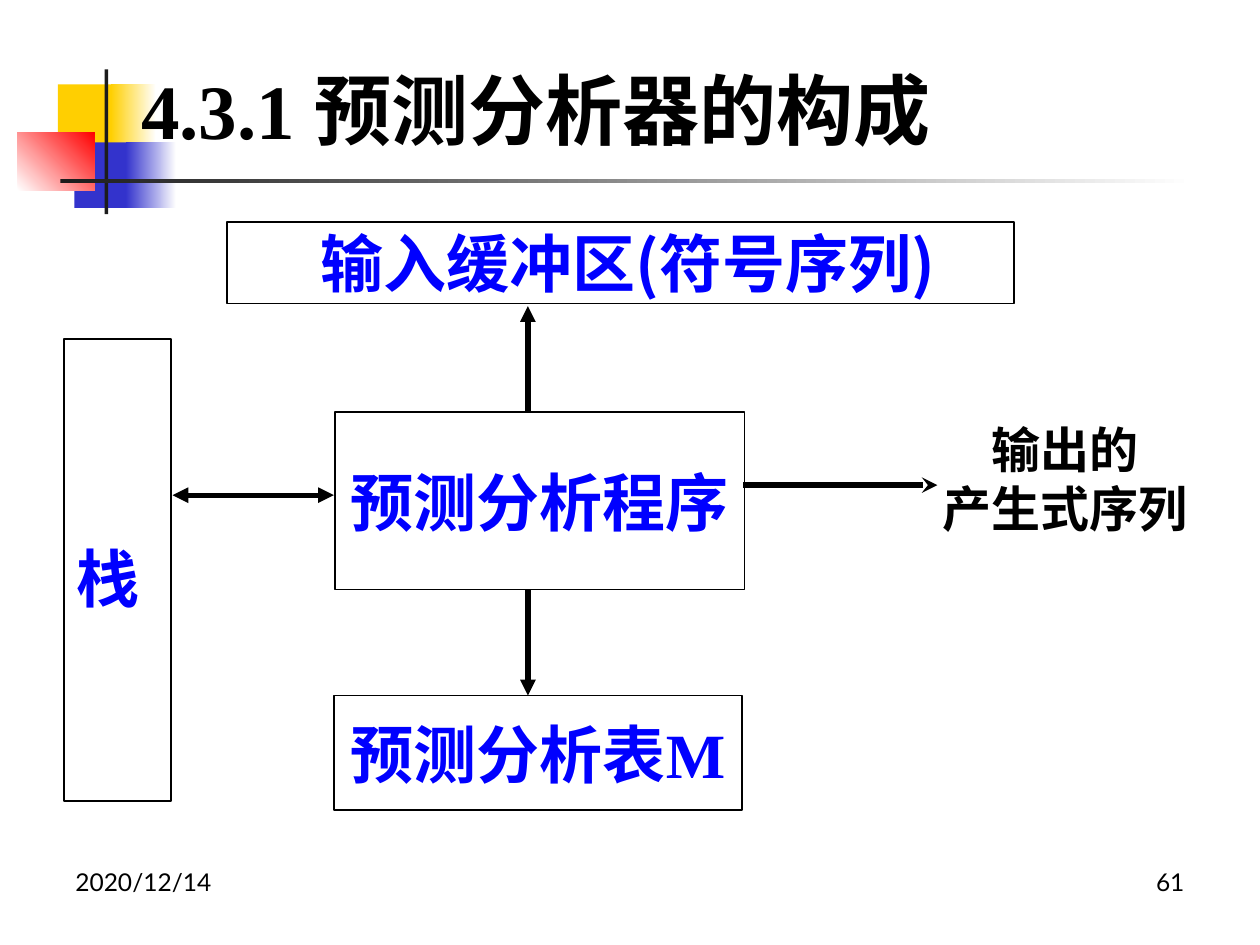
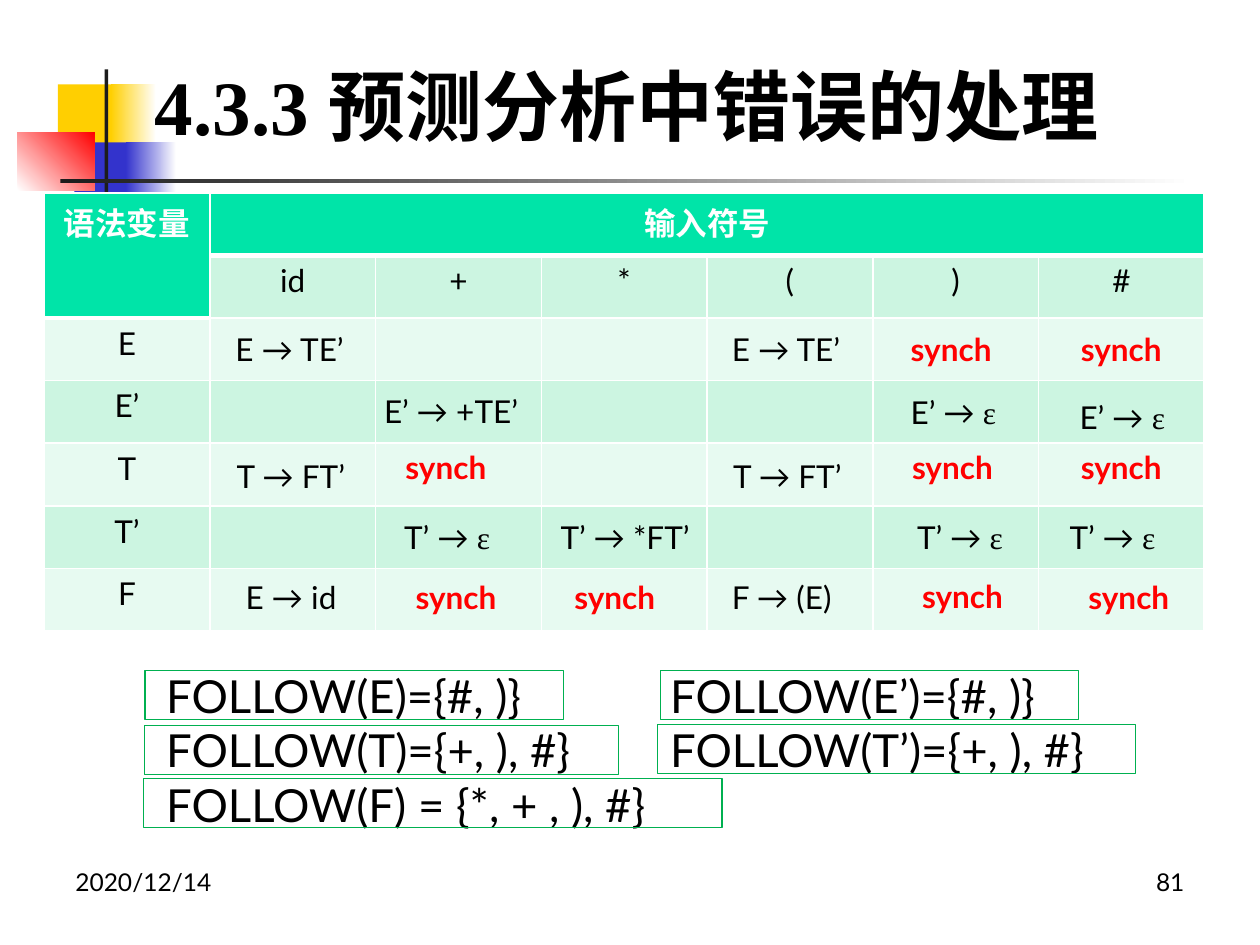
from lxml.etree import SubElement
from pptx import Presentation
from pptx.dml.color import RGBColor
from pptx.enum.shapes import MSO_CONNECTOR, MSO_SHAPE
from pptx.enum.text import MSO_ANCHOR, MSO_AUTO_SIZE, PP_ALIGN
from pptx.oxml.ns import qn
from pptx.util import Pt

PX = 9144  # EMU in one px, 100 px to the inch
COLORS = {
    "black": "000000", "white": "FFFFFF", "ink": "1C1C1C",
    "yellow": "FFCF01", "indigo": "3333CC", "red": "FF0000",
    "blue": "0000FF", "green": "00B050",
    "header": "00E4A8", "band": "CCF5E1", "pale": "E7FAF1",
}
RGB = {name: RGBColor.from_string(value) for name, value in COLORS.items()}
LATIN, CJK, SERIF = "Lato", "Noto Sans CJK SC", "Times New Roman"


def write(tf, text, size=18, font=LATIN, color="black", bold=False,
          align=PP_ALIGN.LEFT, anchor=MSO_ANCHOR.TOP, wrap=True, grow=False,
          spacing=None, tail="", tail_font=SERIF):
    """Fill a text frame, one paragraph a line; tail ends the text in its own font."""
    tf.word_wrap = wrap
    tf.auto_size = MSO_AUTO_SIZE.SHAPE_TO_FIT_TEXT if grow else MSO_AUTO_SIZE.NONE
    tf.vertical_anchor = anchor
    lines = text.split("\n")
    for i, line in enumerate(lines):
        p = tf.paragraphs[0] if i == 0 else tf.add_paragraph()
        p.alignment = align
        if spacing:
            p.line_spacing = spacing
        runs = [(line, font)]
        if tail and i == len(lines) - 1:
            runs.append((tail, tail_font))
        for words, face in runs:
            r = p.add_run()
            r.text = words
            r.font.name, r.font.size, r.font.bold = face, Pt(size), bold
            r.font.color.rgb = RGB[color]
            SubElement(r.font._element, qn("a:ea"), typeface=CJK)


def add_box(s, at, fill=None, line=None, weight=1):
    """Add a rectangle; fill is one colour name or a (start, end, angle) gradient."""
    sp = s.shapes.add_shape(MSO_SHAPE.RECTANGLE, *[v * PX for v in at])
    sp.shadow.inherit = False
    if fill is None:
        sp.fill.background()
    elif isinstance(fill, str):
        sp.fill.solid()
        sp.fill.fore_color.rgb = RGB[fill]
    else:
        start, end, angle = fill
        sp.fill.gradient()
        sp.fill.gradient_angle = angle
        for stop, name in zip(sp.fill.gradient_stops, (start, end)):
            stop.color.rgb = RGB[name]
    if line:
        sp.line.color.rgb = RGB[line]
        sp.line.width = Pt(weight)
    else:
        sp.line.fill.background()
    return sp


prs = Presentation()
prs.slide_width, prs.slide_height = 1000 * PX, 750 * PX

# Shared frame: emblem, rule, date, number and title
emblem = [
    ((46, 67, 48, 52), "yellow"),
    ((88, 67, 36, 52), ("yellow", "white", 0)),
    ((59, 113, 46, 52), "indigo"),
    ((100, 113, 40, 52), ("indigo", "white", 0)),
    ((14, 105, 61, 46), ("white", "red", 45)),
    ((83, 55, 3, 115), "ink"),
    ((48, 142, 900, 3), ("ink", "white", 0)),
]
pages = [
    ("4.3.1 预测分析器的构成", (102, 33, 734, 106), "61"),
    ("4.3.3 预测分析中错误的处理", (113, 44, 797, 78), "81"),
]
for title, title_at, number in pages:
    s = prs.slides.add_slide(prs.slide_layouts[5])
    for at, fill in emblem:
        add_box(s, at, fill)
    for left, text, align in ((50, "2020/12/14", PP_ALIGN.LEFT),
                              (717, number, PP_ALIGN.RIGHT)):
        sp = s.shapes.add_textbox(left * PX, 683 * PX, 233 * PX, 52 * PX)
        write(sp.text_frame, text, size=14, align=align)
    sp = s.shapes.title
    sp.left, sp.top, sp.width, sp.height = [v * PX for v in title_at]
    write(sp.text_frame, title, size=44, font=SERIF, bold=True,
          anchor=MSO_ANCHOR.MIDDLE)
    s.shapes.element.append(sp.element)  # in front of the emblem

parser_slide, error_slide = prs.slides

# Slide 1: parts of the predictive parser
parts = [
    ((180, 176, 625, 65), " 输入缓冲区(符号序列)", {"font": CJK}),
    ((51, 269, 85, 367), "栈", {"align": PP_ALIGN.LEFT, "spacing": 1.2}),
    ((266, 327, 325, 141), "预测分析程序", {}),
    ((265, 552, 324, 91), "预测分析表", {"font": CJK, "tail": "M"}),
]
part_style = {"size": 36, "font": SERIF, "color": "blue", "bold": True, "wrap": False,
              "align": PP_ALIGN.CENTER, "anchor": MSO_ANCHOR.MIDDLE}
for at, text, extra in parts:
    sp = add_box(parser_slide, at, line="black")
    write(sp.text_frame, text, **{**part_style, **extra})

arrows = [
    ((419, 326, 419, 243), {"tailEnd": "triangle"}),
    ((265, 393, 137, 393), {"headEnd": "triangle", "tailEnd": "triangle"}),
    ((419, 552, 419, 468), {"headEnd": "triangle"}),
    ((590, 385, 744, 385), {"tailEnd": "stealth"}),
]
for ends, heads in arrows:
    line = parser_slide.shapes.add_connector(MSO_CONNECTOR.STRAIGHT,
                                             *[v * PX for v in ends])
    line.line.color.rgb = RGB["black"]
    line.line.width = Pt(3)
    spPr = line.element.spPr
    for tag, kind in heads.items():
        SubElement(spPr.find(qn("a:ln")), qn(f"a:{tag}"), type=kind)
    SubElement(spPr, qn("a:effectLst"))

sp = parser_slide.shapes.add_textbox(724 * PX, 328 * PX, 242 * PX, 104 * PX)
write(sp.text_frame, "输出的\n产生式序列", size=28, font=SERIF, bold=True,
      align=PP_ALIGN.CENTER, grow=True)

# Slide 2: parsing table with synch entries
labels = {(0, 0): "语法变量", (0, 1): "输入符号"}
labels.update({(1, c): text for c, text in enumerate(["id", "+", "*", "(", ")", "#"], 1)})
labels.update({(r, 0): text for r, text in enumerate(["E", "E’", "T", "T’", "F"], 2)})

table = error_slide.shapes.add_table(7, 7, 35 * PX, 153 * PX, 921 * PX, 348 * PX).table
for r, row in enumerate(table.rows):
    row.height = 348 * PX // 7
    for c, cell in enumerate(row.cells):
        table.columns[c].width = 921 * PX // 7
        is_header = r == 0 or (r, c) == (1, 0)
        tcPr = cell._tc.get_or_add_tcPr()
        for side in "LRTB":
            thick = is_header and side == "B" or (r, c) in ((2, 0),) and side == "T"
            ln = SubElement(tcPr, qn(f"a:ln{side}"), w=str(Pt(3 if thick else 1)))
            SubElement(SubElement(ln, qn("a:solidFill")), qn("a:srgbClr"),
                       val=COLORS["white"])
        cell.fill.solid()
        cell.fill.fore_color.rgb = RGB["header" if is_header else "band" if r % 2 else "pale"]
        if (r, c) in labels:
            write(cell.text_frame, labels[r, c], align=PP_ALIGN.CENTER, bold=is_header,
                  color="white" if is_header else "black")
table.cell(0, 0).merge(table.cell(1, 0))
table.cell(0, 1).merge(table.cell(0, 6))

# text, tail, width, then the left and top of each place it stands
entries = [
    ("E → TE’", "", 109, [(177, 257), (571, 257)]),
    ("E’ → ", "ε", 97, [(713, 307), (847, 311)]),
    ("E’ → +TE’", "", 133, [(295, 306)]),
    ("T → FT’", "", 109, [(572, 358), (178, 358)]),
    ("T’ → *FT’", "", 128, [(435, 406)]),
    ("T’ → ", "ε", 97, [(311, 406), (718, 406), (839, 406)]),
    ("F → (E)", "", 107, [(571, 454)]),
    ("E → id", "", 95, [(185, 454)]),
    ("synch", "", 93, [(848, 257), (713, 257), (312, 351), (714, 351), (848, 351),
                       (854, 454), (722, 453), (320, 454), (446, 454)]),
]
for text, tail, width, places in entries:
    is_synch = text == "synch"
    for left, top in places:
        sp = error_slide.shapes.add_textbox(left * PX, top * PX, width * PX, 40 * PX)
        write(sp.text_frame, text, tail=tail, wrap=False, grow=True, bold=is_synch,
              color="red" if is_synch else "black")

follow_sets = ("FOLLOW(E)={#, )}\tFOLLOW(E’)={#, )}\n"
               "FOLLOW(T)={+, ), #}\tFOLLOW(T’)={+, ), #}\n"
               "FOLLOW(F) = {*, + , ), #}")
sp = error_slide.shapes.add_textbox(122 * PX, 525 * PX, 794 * PX, 141 * PX)
write(sp.text_frame, follow_sets, size=26, grow=True)
for p in sp.text_frame.paragraphs:
    tabs = SubElement(p._p.get_or_add_pPr(), qn("a:tabLst"))
    SubElement(tabs, qn("a:tab"), pos=str(400 * PX), algn="l")

for left, top, width in ((115, 532, 332), (524, 532, 332), (115, 576, 376),
                         (522, 575, 379), (114, 618, 459)):
    add_box(error_slide, (left, top, width, 39), line="green", weight=0.75)

prs.save("out.pptx")
